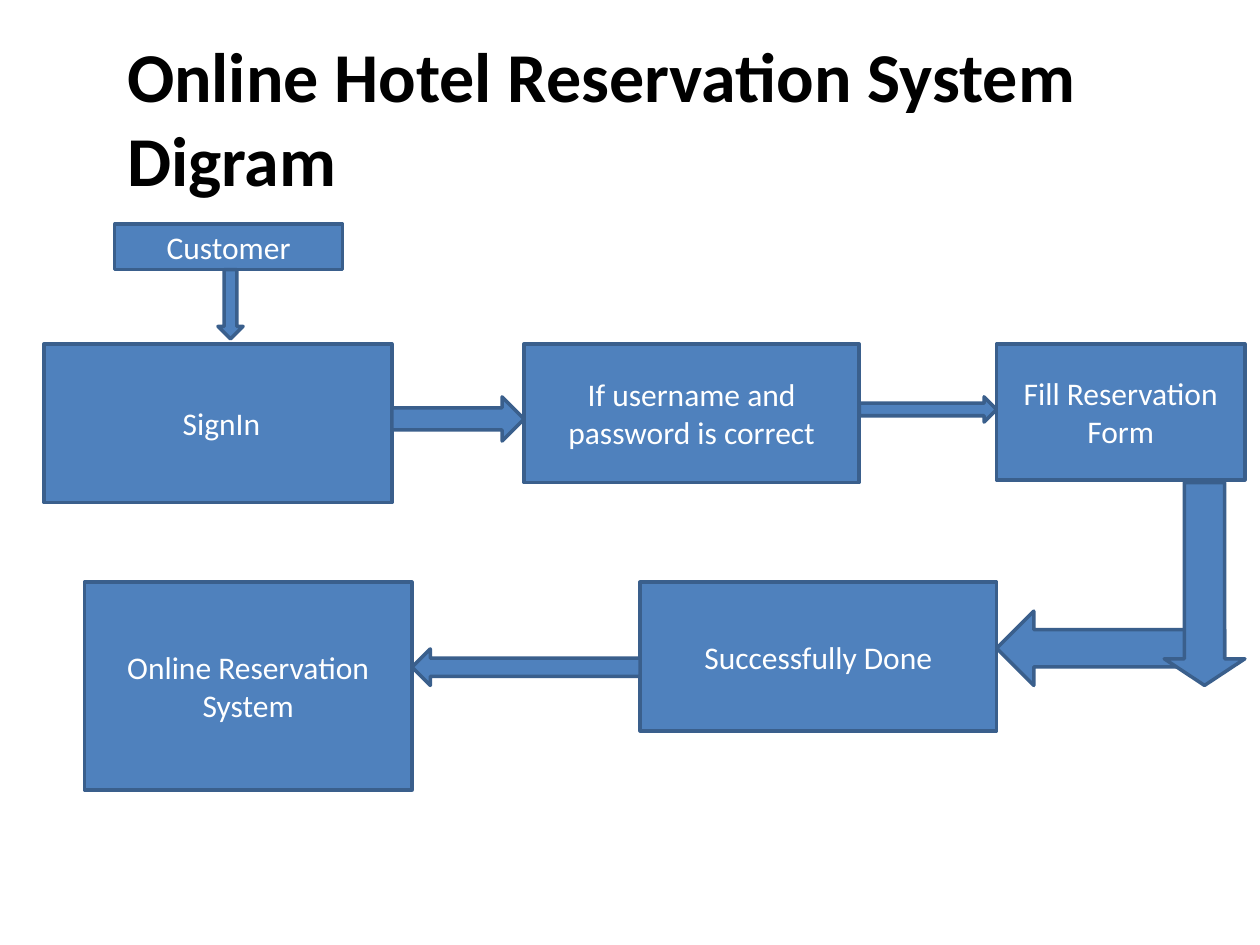
from pptx import Presentation
from pptx.dml.color import RGBColor
from pptx.enum.shapes import MSO_SHAPE as Shape
from pptx.enum.text import MSO_ANCHOR as Anchor, PP_ALIGN as Align
from pptx.util import Inches, Pt

BLUE = RGBColor(0x4F, 0x81, 0xBD)
DARK_BLUE = RGBColor(0x3A, 0x5F, 0x8C)
WHITE = RGBColor(0xFF, 0xFF, 0xFF)
BLACK = RGBColor(0, 0, 0)
UNIT = Inches(0.1)

TITLE_BOX = (9.1, 2.1, 83.5, 14.5)
FLOW_BOX = (3.5, 17.8, 95.3, 44.9)
UPPER_ROW, LOWER_ROW = 9.5, 28.4

STEPS = {
    "customer": ("Customer", (5.6, 0, 18.1, 3.6)),
    "sign_in": (" SignIn", (0, UPPER_ROW, 27.6, 12.6)),
    "check": ("If username and password is correct", (38.1, UPPER_ROW, 26.6, 11)),
    "form": ("Fill Reservation Form", (75.6, UPPER_ROW, 19.7, 10.8)),
    "done": ("Successfully Done", (47.3, LOWER_ROW, 28.3, 11.8)),
    "system": ("Online Reservation System", (3.2, LOWER_ROW, 26, 16.5)),
}
SIDEWAYS_ARROWS = [
    ("sign_in", "check", 13.7, 3.5),
    ("check", "form", 13.7, 2),
    ("done", "system", 33.7, 2.9),
]


def place(region, part):
    left, top, width, height = part
    return [round(UNIT * value) for value in
            (region[0] + left, region[1] + top, width, height)]


def set_font(paragraph, size, color, bold=False):
    font = paragraph.font
    font.name, font.size, font.bold = "Calibri", Pt(size), bold
    font.color.rgb = color


def add_title(slide, region, text):
    frame = slide.shapes.add_textbox(*place(region, (0, 0, *region[2:]))).text_frame
    frame.word_wrap = True
    frame.text = text
    set_font(frame.paragraphs[0], 40, BLACK, bold=True)


def add_block(slide, region, kind, part):
    shape = slide.shapes.add_shape(kind, *place(region, part))
    shape.shadow.inherit = False
    shape.fill.solid()
    shape.fill.fore_color.rgb = BLUE
    shape.line.color.rgb = DARK_BLUE
    shape.line.width = Pt(2)
    return shape


def add_step(slide, region, text, part):
    frame = add_block(slide, region, Shape.RECTANGLE, part).text_frame
    frame.word_wrap = True
    frame.vertical_anchor = Anchor.MIDDLE
    frame.text = text
    paragraph = frame.paragraphs[0]
    paragraph.alignment = Align.CENTER
    set_font(paragraph, 18, WHITE)


def add_sideways_arrow(slide, region, source, target, top, height):
    forward = source[0] < target[0]
    first, last = (source, target) if forward else (target, source)
    left = first[0] + first[2]
    kind = Shape.RIGHT_ARROW if forward else Shape.LEFT_ARROW
    add_block(slide, region, kind, (left, top, last[0] - left, height))


def add_flow(slide, region):
    for text, part in STEPS.values():
        add_step(slide, region, text, part)
    for source, target, top, height in SIDEWAYS_ARROWS:
        add_sideways_arrow(slide, region, STEPS[source][1], STEPS[target][1], top, height)
    add_block(slide, region, Shape.DOWN_ARROW, (13.8, 3.6, 2, 5.5))
    add_block(slide, region, Shape.LEFT_ARROW, (75.6, 30.7, 18.1, 5.9))
    form_arrow = add_block(slide, region, Shape.DOWN_ARROW, (88.9, 20.5, 6.4, 16.1))
    form_arrow.adjustments[1] = 0.33


presentation = Presentation()
presentation.slide_width, presentation.slide_height = Inches(10), Inches(7.5)
slide = presentation.slides.add_slide(presentation.slide_layouts[6])
add_title(slide, TITLE_BOX, "Online Hotel Reservation System Digram")
add_flow(slide, FLOW_BOX)
presentation.save("out.pptx")
